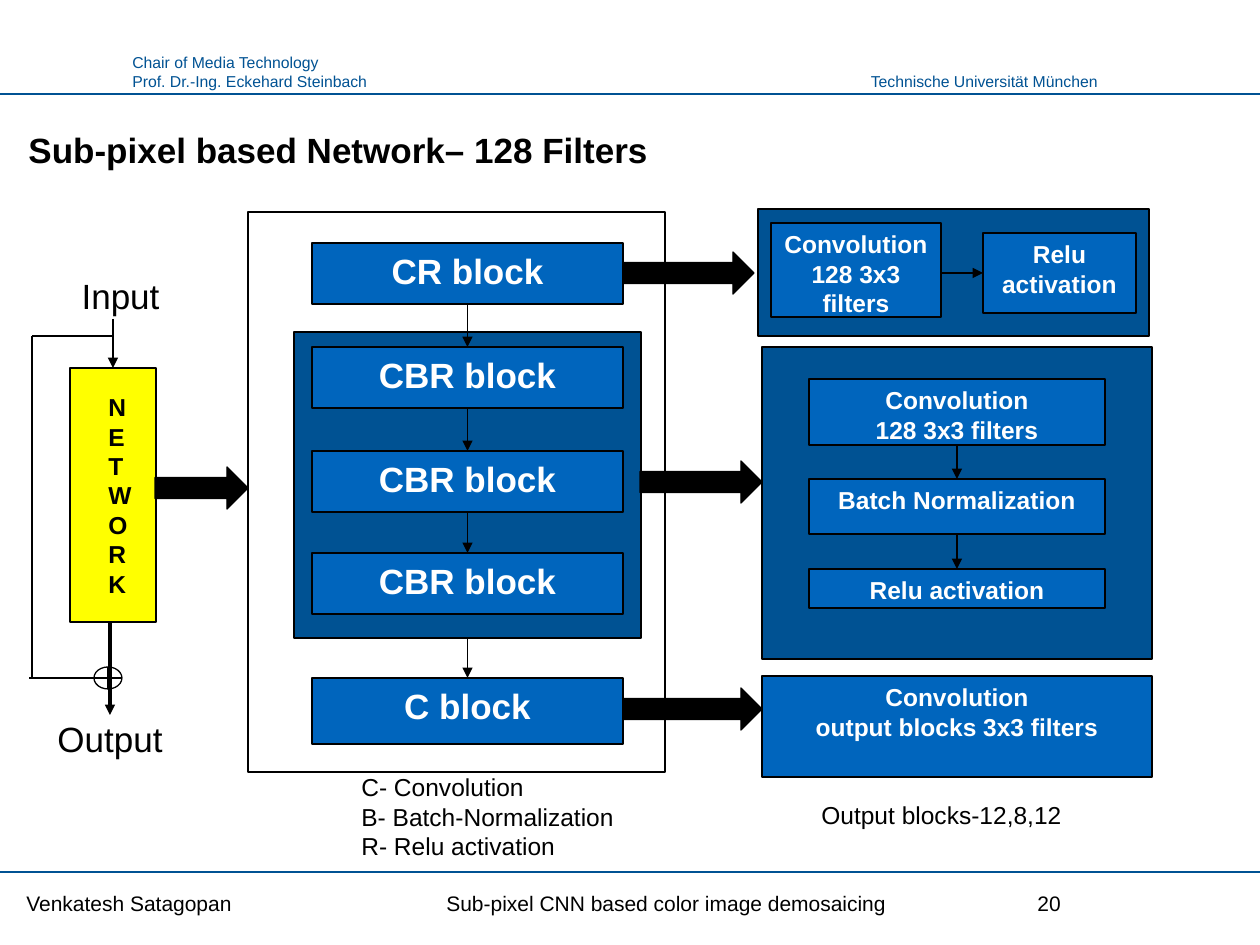
from lxml import etree
from pptx import Presentation
from pptx.dml.color import RGBColor
from pptx.enum.shapes import MSO_CONNECTOR, MSO_SHAPE
from pptx.enum.text import MSO_ANCHOR, MSO_AUTO_SIZE, PP_ALIGN
from pptx.oxml.ns import qn
from pptx.util import Pt

RECT, ARROW, OR = MSO_SHAPE.RECTANGLE, MSO_SHAPE.RIGHT_ARROW, MSO_SHAPE.FLOWCHART_OR
STRAIGHT = MSO_CONNECTOR.STRAIGHT
LEFT, CENTER, RIGHT = PP_ALIGN.LEFT, PP_ALIGN.CENTER, PP_ALIGN.RIGHT
TOP, MIDDLE = MSO_ANCHOR.TOP, MSO_ANCHOR.MIDDLE
GROW = MSO_AUTO_SIZE.SHAPE_TO_FIT_TEXT
NAVY, BLUE, YELLOW, BLACK, WHITE = "005293", "0065BD", "FFFF00", "000000", "FFFFFF"
SCALE = 914400 / 126


def px(*lengths):
    return [round(length * SCALE) for length in lengths]


def write(frame, lines, size, color, bold, align, tab=0):
    for index, line in enumerate(lines):
        para = frame.paragraphs[0] if index == 0 else frame.add_paragraph()
        para.alignment = align
        if tab:
            stops = etree.SubElement(para._p.get_or_add_pPr(), qn("a:tabLst"))
            etree.SubElement(stops, qn("a:tab"), pos=str(px(tab)[0]), algn="l")
        span = para.add_run()
        span.text = line
        span.font.name = "Arial"
        span.font.size = Pt(size)
        span.font.bold = bold
        span.font.color.rgb = RGBColor.from_string(color)


deck = Presentation()
deck.slide_width, deck.slide_height = px(1260, 945)
page = deck.slides.add_slide(deck.slide_layouts[6])

shapes = [
    ("network", RECT, 70, 368, 86, 254, YELLOW, [], 14),
    ("sum", OR, 94, 667, 28, 22, WHITE, [], 14),
    ("cr detail", RECT, 758, 209, 391, 127, NAVY, [], 14),
    ("cr convolution", RECT, 771, 223, 170, 94, BLUE, ["Convolution", "128 3x3", "filters"], 14),
    ("cr relu", RECT, 983, 233, 153, 80, BLUE, ["Relu activation"], 14),
    ("cbr detail", RECT, 762, 347, 390, 312, NAVY, [], 14),
    ("cbr convolution", RECT, 809, 379, 296, 66, BLUE, ["Convolution", "128 3x3 filters"], 14),
    ("cbr batch", RECT, 809, 479, 296, 55, BLUE, ["Batch Normalization"], 14),
    ("cbr relu", RECT, 809, 569, 296, 39, BLUE, ["Relu activation"], 14),
    ("c detail", RECT, 762, 676, 390, 101, BLUE, ["Convolution", "output blocks 3x3 filters"], 14),
    ("stack", RECT, 248, 212, 417, 560, WHITE, [], 14),
    ("cbr group", RECT, 294, 332, 347, 306, NAVY, [], 14),
    ("cr", RECT, 312, 243, 311, 61, BLUE, ["CR block"], 20),
    ("cbr 1", RECT, 312, 347, 311, 61, BLUE, ["CBR block"], 20),
    ("cbr 2", RECT, 312, 451, 311, 61, BLUE, ["CBR block"], 20),
    ("cbr 3", RECT, 312, 553, 311, 61, BLUE, ["CBR block"], 20),
    ("c", RECT, 312, 678, 311, 66, BLUE, ["C block"], 20),
    ("cr arrow", ARROW, 623, 252, 131, 42, BLACK, [], 14),
    ("cbr arrow", ARROW, 640, 461, 122, 42, BLACK, [], 14),
    ("c arrow", ARROW, 623, 688, 139, 42, BLACK, [], 14),
    ("network arrow", ARROW, 155, 467, 93, 42, BLACK, [], 14),
]
blocks = {}
for name, kind, left, top, width, height, fill, lines, size in shapes:
    shape = page.shapes.add_shape(kind, *px(left, top, width, height))
    shape.shadow.inherit = False
    shape.fill.solid()
    shape.fill.fore_color.rgb = RGBColor.from_string(fill)
    shape.line.color.rgb = RGBColor.from_string(BLACK)
    shape.line.width = Pt(0.75)
    shape.text_frame.vertical_anchor = TOP
    write(shape.text_frame, lines, size, WHITE, True, CENTER)
    blocks[name] = shape

lines = [
    (0, 94, 1260, 94, NAVY, 0.75, False, None, None),
    (0, 872, 1260, 872, NAVY, 0.75, False, None, None),
    (113, 319, 113, 368, BLACK, 0.75, True, None, ("network", 0)),
    (113, 336, 32, 336, BLACK, 0.75, False, None, None),
    (32, 336, 32, 678, BLACK, 0.75, False, None, None),
    (122, 678, 29, 678, BLACK, 0.75, False, None, None),
    (110, 623, 110, 715, BLACK, 1.75, True, None, None),
    (941, 273, 983, 273, BLACK, 0.75, True, None, ("cr relu", 1)),
]
chains = [
    (468, 304, 347, "cr", "cbr 1"),
    (468, 408, 451, "cbr 1", "cbr 2"),
    (468, 512, 553, "cbr 2", "cbr 3"),
    (468, 638, 678, "cbr group", "c"),
    (957, 445, 479, "cbr convolution", "cbr batch"),
    (957, 534, 569, "cbr batch", "cbr relu"),
]
for x, y1, y2, upper, lower in chains:
    lines.append((x, y1, x, y2, BLACK, 0.75, True, (upper, 2), (lower, 0)))

for x1, y1, x2, y2, color, weight, pointed, start, end in lines:
    line = page.shapes.add_connector(STRAIGHT, *px(x1, y1, x2, y2))
    if start:
        line.begin_connect(blocks[start[0]], start[1])
    if end:
        line.end_connect(blocks[end[0]], end[1])
    line.line.color.rgb = RGBColor.from_string(color)
    line.line.width = Pt(weight)
    if pointed:
        etree.SubElement(line.line._get_or_add_ln(), qn("a:tailEnd"), type="triangle")
    etree.SubElement(line._element.spPr, qn("a:effectLst"))

texts = [
    (856, 66, 254, 32, ["Technische Universität München"], 9, NAVY, False, RIGHT, False),
    (120, 47, 262, 50, ["Chair of Media Technology", "Prof. Dr.-Ing. Eckehard Steinbach"],
     9, NAVY, False, LEFT, False),
    (16, 122, 662, 55, ["Sub-pixel based Network– 128 Filters"], 20, BLACK, True, LEFT, True),
    (96, 386, 34, 220, list("NETWORK"), 14, BLACK, True, CENTER, True),
    (32, 268, 140, 55, ["Input"], 20, BLACK, False, RIGHT, True),
    (42, 711, 133, 55, ["Output"], 20, BLACK, False, RIGHT, True),
    (809, 794, 390, 43, ["Output blocks-12,8,12"], 14, BLACK, False, LEFT, True),
    (349, 766, 390, 102, ["C- Convolution", "B- Batch-Normalization", "R- Relu activation"],
     14, BLACK, False, LEFT, True),
]
for left, top, width, height, words, size, color, bold, align, wrap in texts:
    box = page.shapes.add_textbox(*px(left, top, width, height))
    box.text_frame.word_wrap = wrap
    box.text_frame.auto_size = GROW
    write(box.text_frame, words, size, color, bold, align)

footers = [
    (14, 985, "Venkatesh Satagopan\tSub-pixel CNN based color image demosaicing", 420),
    (1025, 165, "20", 0),
]
for left, width, words, tab in footers:
    box = page.shapes.add_textbox(*px(left, 882, width, 42))
    box.text_frame.word_wrap = True
    box.text_frame.vertical_anchor = MIDDLE
    write(box.text_frame, [words], 12, BLACK, False, LEFT, tab)

deck.save("out.pptx")
